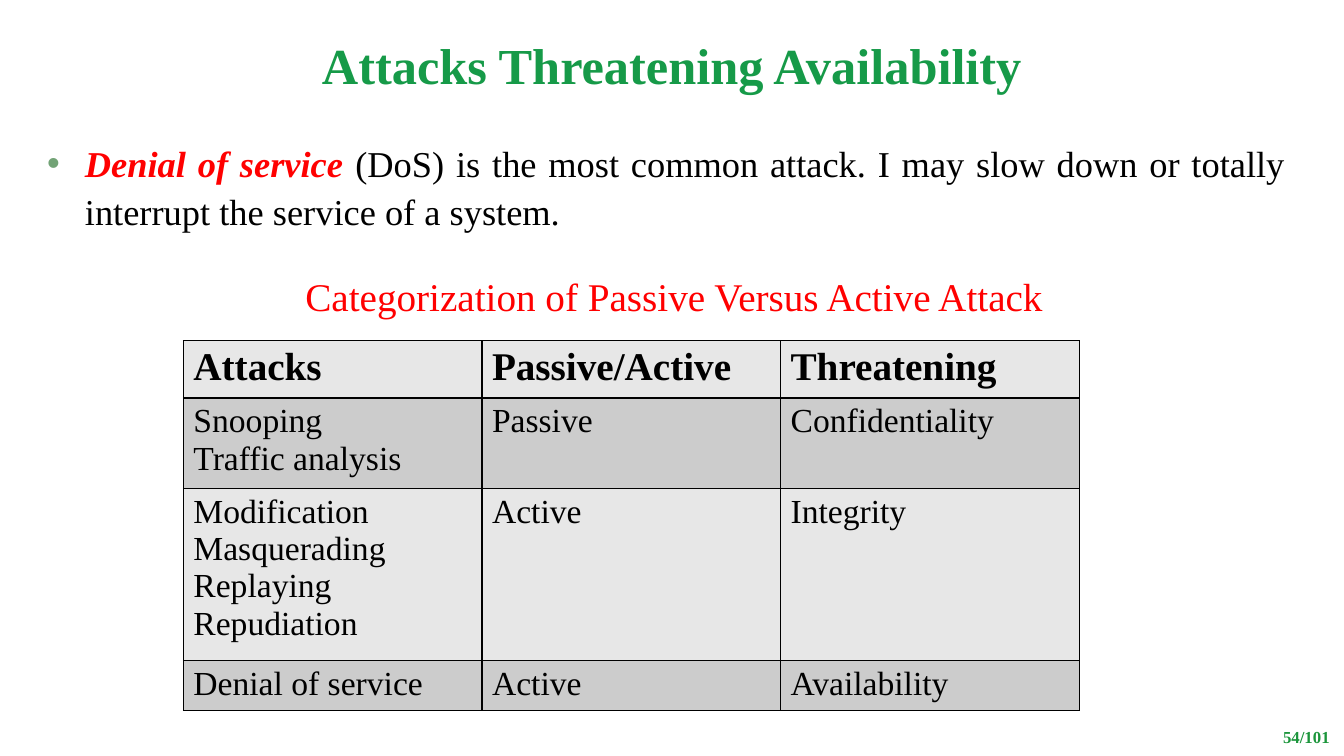
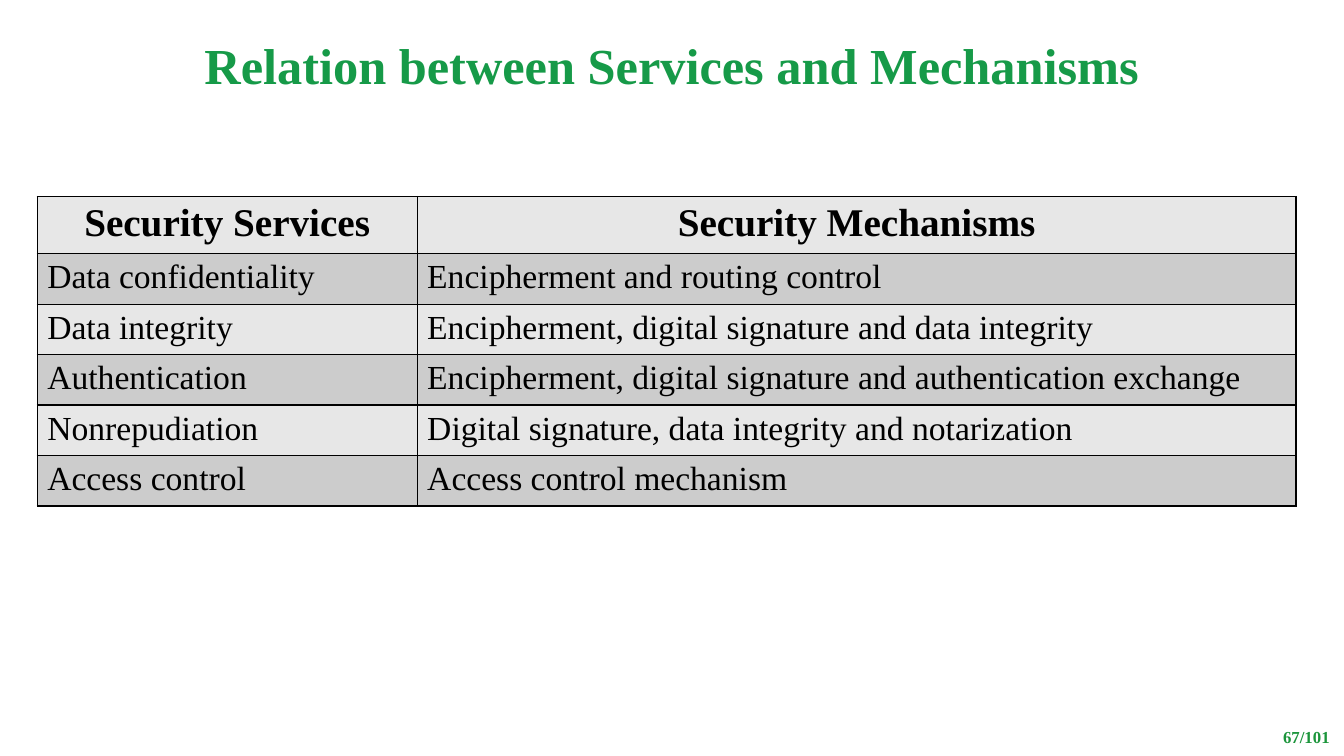
"""Build two slides on attack categories and security services."""
from lxml import etree
from pptx import Presentation
from pptx import util as u
from pptx.dml.color import RGBColor
from pptx.enum import text
from pptx.oxml.ns import qn

Pt = u.Pt
GREEN = RGBColor(0x16, 0x9A, 0x48)
PAGE_GREEN = RGBColor(0x1B, 0x95, 0x3B)
BULLET = RGBColor(0x72, 0xA3, 0x76)
RED = RGBColor(0xFF, 0, 0)
BLACK = RGBColor(0, 0, 0)
BANDS = RGBColor(0xE7, 0xE7, 0xE7), RGBColor(0xCC, 0xCC, 0xCC)

FONT = "Times New Roman"
WIDTH, HEIGHT = 960, 540
AL = text.PP_ALIGN

TITLE = dict(size=36, bold=True, color=GREEN)
PAGE = dict(size=12, bold=True, color=PAGE_GREEN)
TERM = dict(size=26, bold=True, italic=True, color=RED)
BODY = dict(size=26, color=BLACK)
CAPTION = dict(size=28, color=RED)
HEAD = dict(size=28, bold=True, color=BLACK)
CELL = dict(size=24, bold=False, color=BLACK)

SLIDES = [
    dict(
        title="Attacks Threatening Availability",
        page="54/101",
        bullet=[
            ("Denial of service", TERM),
            (" (DoS) is the most common attack. I may slow down or totally "
             "interrupt the service of a system.", BODY),
        ],
        caption="Categorization of Passive Versus Active Attack",
        table=dict(at=(131, 243.4), cols=(213.3, 213.3, 213.3), head_align=AL.LEFT, rows=[
            ("Attacks", "Passive/Active", "Threatening"),
            ("Snooping\nTraffic analysis", "Passive", "Confidentiality"),
            ("Modification\nMasquerading\nReplaying\nRepudiation", "Active", "Integrity"),
            ("Denial of service", "Active", "Availability"),
        ]),
    ),
    dict(
        title="Relation between Services and Mechanisms",
        page="67/101",
        table=dict(at=(26.6, 140.4), cols=(271.4, 627.8), head_align=AL.CENTER, rows=[
            ("Security Services", "Security Mechanisms"),
            ("Data confidentiality", "Encipherment and routing control"),
            ("Data integrity", "Encipherment, digital signature and data integrity"),
            ("Authentication", "Encipherment, digital signature and authentication exchange"),
            ("Nonrepudiation", "Digital signature, data integrity and notarization"),
            ("Access control", "Access control mechanism"),
        ]),
    ),
]


def add_run(p, words, style):
    r = p.add_run()
    r.text = words
    r.font.name = FONT
    r.font.color.rgb = style["color"]
    r.font.size = Pt(style["size"])
    for name in ("bold", "italic"):
        setattr(r.font, name, style.get(name, False))


def write(tf, words, style, align=AL.LEFT):
    for i, line in enumerate(words.split("\n")):
        p = tf.add_paragraph() if i else tf.paragraphs[0]
        p.alignment = align
        add_run(p, line, style)


def add_box(s, *at):
    tf = s.shapes.add_textbox(*map(Pt, at)).text_frame
    tf.word_wrap = True
    return tf


def add_title(s, words):
    sp = s.shapes.title
    for name, value in dict(left=0, top=26, width=WIDTH, height=45.3).items():
        setattr(sp, name, Pt(value))
    tf = sp.text_frame
    tf.vertical_anchor = text.MSO_ANCHOR.BOTTOM
    write(tf, words, TITLE, AL.CENTER)


def add_bullet(s, runs):
    p = add_box(s, 26.6, 94.3, 899.3, 72).paragraphs[0]
    p.alignment = AL.JUSTIFY
    p.line_spacing = 1.1
    pPr = p._p.get_or_add_pPr()
    pPr.set("marL", str(Pt(27)))
    pPr.set("indent", str(Pt(-27)))
    color = etree.SubElement(pPr, qn("a:buClr"))
    etree.SubElement(color, qn("a:srgbClr"), val=str(BULLET))
    etree.SubElement(pPr, qn("a:buFont"), typeface="Arial")
    etree.SubElement(pPr, qn("a:buChar"), char="•")
    for words, style in runs:
        add_run(p, words, style)


def add_borders(cell):
    tcPr = cell._tc.get_or_add_tcPr()
    for side in "LRTB":
        ln = etree.SubElement(tcPr, qn("a:ln" + side), w=str(Pt(1)))
        fill = etree.SubElement(ln, qn("a:solidFill"))
        etree.SubElement(fill, qn("a:srgbClr"), val=str(BLACK))


def add_table(s, at, cols, head_align, rows):
    styles = [HEAD] + [CELL] * (len(rows) - 1)
    heights = [7.2 + 1.11 * style["size"] * max(words.count("\n") + 1 for words in row)
               for row, style in zip(rows, styles)]
    frame = s.shapes.add_table(len(rows), len(cols), *map(Pt, (*at, sum(cols), sum(heights))))
    table = frame.table
    for column, width in zip(table.columns, cols):
        column.width = Pt(width)
    for i, (row, style, height) in enumerate(zip(rows, styles, heights)):
        table.rows[i].height = Pt(height)
        for j, words in enumerate(row):
            cell = table.cell(i, j)
            add_borders(cell)
            cell.fill.solid()
            cell.fill.fore_color.rgb = BANDS[i % 2]
            write(cell.text_frame, words, style, AL.LEFT if i else head_align)


def main():
    prs = Presentation()
    prs.slide_width, prs.slide_height = Pt(WIDTH), Pt(HEIGHT)
    for item in SLIDES:
        s = prs.slides.add_slide(prs.slide_layouts[5])
        add_title(s, item["title"])
        write(add_box(s, 873.4, 515.5, 83.5, 21.6), item["page"], PAGE, AL.RIGHT)
        if "bullet" in item:
            add_bullet(s, item["bullet"])
        add_table(s, **item["table"])
        if "caption" in item:
            write(add_box(s, 211, 190.8, 546.5, 41), item["caption"], CAPTION)
    prs.save("out.pptx")


if __name__ == "__main__":
    main()
